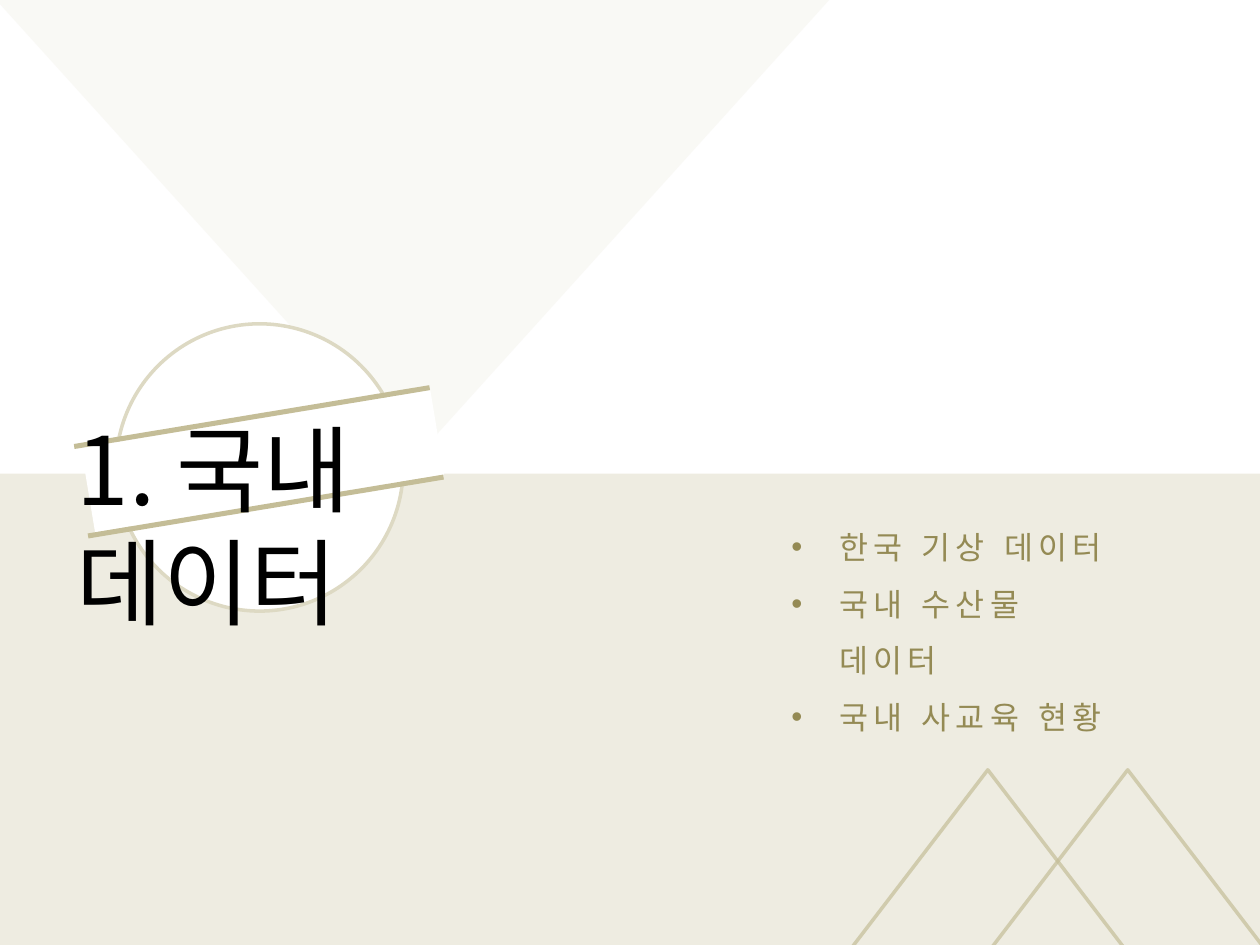
from lxml.etree import SubElement
from pptx import Presentation
from pptx.dml.color import RGBColor
from pptx.enum.shapes import MSO_SHAPE
from pptx.enum.text import MSO_ANCHOR, MSO_AUTO_SIZE, PP_ALIGN
from pptx.oxml.ns import qn
from pptx.util import Inches, Pt

COLORS = {
    "white": "FFFFFF",
    "cream": "EEECE1",
    "ring": "DDD9C3",
    "tan": "C4BD97",
    "olive": "948A54",
    "black": "000000",
}
FONT = "Noto Sans CJK KR"
TILT = 350.6


def add_figure(parent, kind, place, fill=None, line=None, opacity=100, rotation=0):
    shape = parent.shapes.add_shape(kind, *[Inches(value) for value in place])
    shape.shadow.inherit = False
    shape.rotation = rotation
    if fill:
        shape.fill.solid()
        shape.fill.fore_color.rgb = RGBColor.from_string(COLORS[fill])
    else:
        shape.fill.background()
    if line:
        shape.line.color.rgb = RGBColor.from_string(COLORS[line])
        shape.line.width = Pt(2)
    else:
        shape.line.fill.background()
    if opacity < 100:
        for color in shape._element.spPr.iter(qn("a:srgbClr")):
            SubElement(color, qn("a:alpha"), val=str(opacity * 1000))
    return shape


def write_text(para, text, size, color, spacing=0):
    para.alignment = PP_ALIGN.LEFT
    para.space_before = Pt(0)
    span = para.add_run()
    span.text = text
    span.font.size = Pt(size)
    span.font.name = FONT
    span.font.color.rgb = RGBColor.from_string(COLORS[color])
    properties = span.font._element
    properties.set("lang", "ko-KR")
    properties.set("spc", str(spacing * 100))
    SubElement(properties, qn("a:ea"), typeface=FONT)


deck = Presentation()
deck.slide_width = Inches(10)
deck.slide_height = Inches(7.5)
page = deck.slides.add_slide(deck.slide_layouts[1])
page.background.fill.solid()
page.background.fill.fore_color.rgb = RGBColor.from_string(COLORS["white"])

add_figure(page, MSO_SHAPE.RECTANGLE, (0, 3.76, 10, 3.74), fill="cream")
for left in (7.84, 6.73):
    add_figure(page, MSO_SHAPE.ISOSCELES_TRIANGLE, (left, 6.11, 2.22, 1.45), line="tan", opacity=70)
add_figure(page, MSO_SHAPE.ISOSCELES_TRIANGLE, (-0.04, -0.01, 6.63, 3.67),
           fill="cream", opacity=30, rotation=180)

emblem = page.shapes.add_group_shape()
add_figure(emblem, MSO_SHAPE.OVAL, (0.92, 2.57, 2.28, 2.28), fill="white", line="ring", rotation=TILT)
for place, color in (
    ((0.68, 3.32, 2.81, 0.68), "white"),
    ((0.57, 3.29, 2.86, 0.04), "tan"),
    ((0.68, 4, 2.86, 0.04), "tan"),
):
    add_figure(emblem, MSO_SHAPE.RECTANGLE, place, fill=color, rotation=TILT)

title = page.shapes.title
body = page.placeholders[1]
for box, place in ((title, (0.51, 3.21, 3.22, 1.01)), (body, (6.18, 3.99, 2.89, 1.46))):
    box.left, box.top, box.width, box.height = [Inches(value) for value in place]
    box.text_frame.word_wrap = True
    box.text_frame.auto_size = MSO_AUTO_SIZE.NONE
    box.text_frame.vertical_anchor = MSO_ANCHOR.TOP
    page.shapes._spTree.append(box._element)

write_text(title.text_frame.paragraphs[0], "1. 국내 데이터", size=54, color="black")

topics = ("한국 기상 데이터", "국내 수산물 데이터", "국내 사교육 현황")
for index, topic in enumerate(topics):
    para = body.text_frame.paragraphs[0] if index == 0 else body.text_frame.add_paragraph()
    para.line_spacing = 1.5
    write_text(para, topic, size=18, color="olive", spacing=3)
    properties = para._p.get_or_add_pPr()
    properties.set("marL", str(Inches(0.38)))
    properties.set("indent", str(-Inches(0.38)))
    SubElement(properties, qn("a:buFont"), typeface="Arial")
    SubElement(properties, qn("a:buChar"), char="•")

deck.save("out.pptx")
